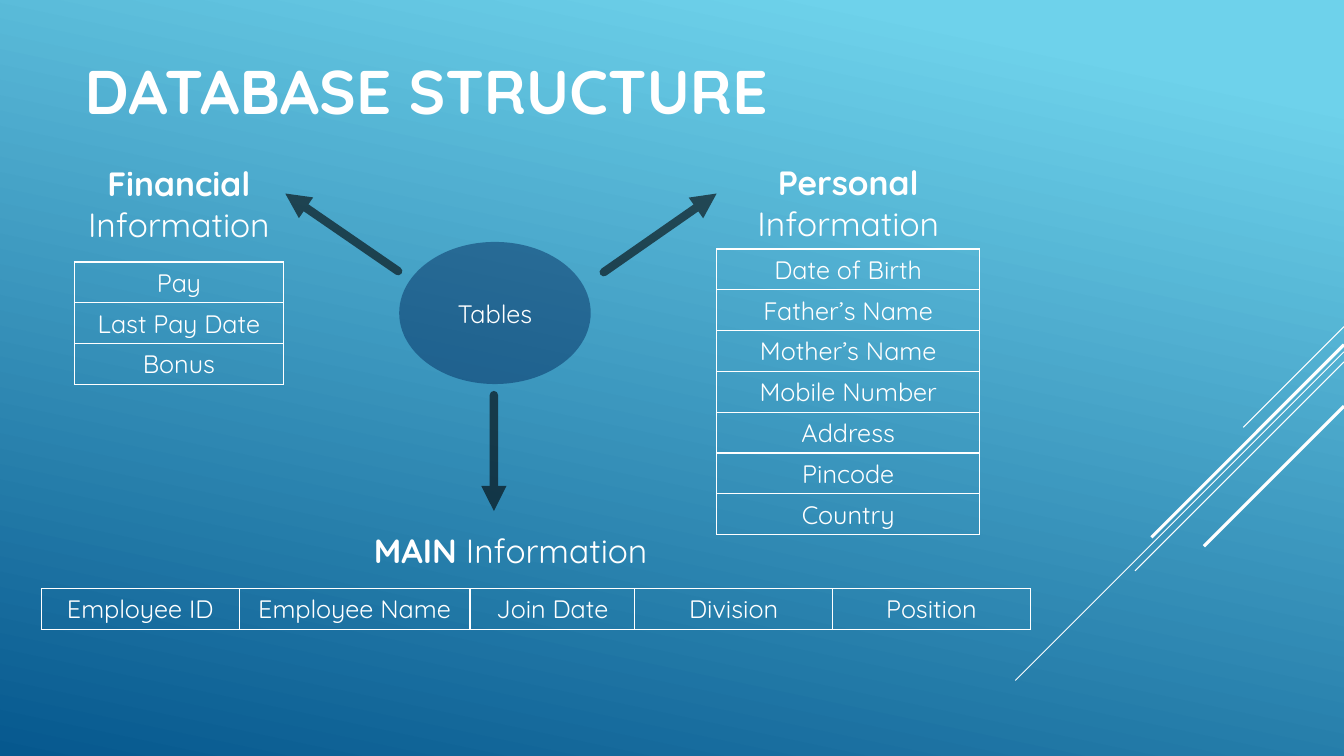
from lxml.etree import SubElement
from pptx import Presentation
from pptx.dml.color import RGBColor
from pptx.enum.shapes import MSO_CONNECTOR as Connector, MSO_SHAPE as Preset
from pptx.enum.text import MSO_ANCHOR as Anchor, PP_ALIGN as Align
from pptx.oxml import parse_xml
from pptx.oxml.ns import nsdecls, qn
from pptx.util import Inches, Pt

COLUMNS, ROWS = 80, 45
FONT, WHITE, BLACK, NAVY = "Quicksand", "FFFFFF", "000000", "052F61"
SKY, OCEAN = "6ED2EB", "06588E"
TABLE_ROW = 2.43

presentation = Presentation()
presentation.slide_width = Inches(13.33)
presentation.slide_height = Inches(7.5)


def color(hex_string):
    """Turn a hex string into a colour."""
    return RGBColor.from_string(hex_string)


def across(columns):
    """Length of a number of grid columns."""
    return round(presentation.slide_width * columns / COLUMNS)


def down(rows):
    """Length of a number of grid rows."""
    return round(presentation.slide_height * rows / ROWS)


def place(box):
    """Turn a grid box into left, top, width and height."""
    left, top, width, height = box
    return across(left), down(top), across(width), down(height)


def set_alpha(element, percent):
    """Make the solid colour inside an element partly transparent."""
    solid = next(element.iter(qn("a:srgbClr")))
    SubElement(solid, qn("a:alpha"), val=str(percent * 1000))


def add_run(paragraph, text, size, bold=False):
    """Add one white run."""
    run = paragraph.add_run()
    run.text = text
    run.font.name, run.font.size, run.font.bold = FONT, Pt(size), bold
    run.font.color.rgb = color(WHITE)


def add_text(slide, box, runs, size, align=Align.LEFT, anchor=Anchor.TOP):
    """Add a wrapped text box from (text, bold) runs."""
    frame = slide.shapes.add_textbox(*place(box)).text_frame
    frame.word_wrap = True
    frame.vertical_anchor = anchor
    paragraph = frame.paragraphs[0]
    paragraph.alignment = align
    for text, bold in runs:
        add_run(paragraph, text, size, bold)


def add_line(slide, start, end, line_color, width):
    """Add a straight line without a shadow between two grid points."""
    connector = slide.shapes.add_connector(
        Connector.STRAIGHT, across(start[0]), down(start[1]), across(end[0]), down(end[1]))
    connector.line.color.rgb = color(line_color)
    connector.line.width = Pt(width)
    SubElement(connector._element.spPr, qn("a:effectLst"))
    return connector


def add_arrow(slide, start, end):
    """Add a thick translucent arrow with a round cap."""
    line = add_line(slide, start, end, BLACK, 6).line._get_or_add_ln()
    line.set("cap", "rnd")
    set_alpha(line, 60)
    SubElement(line, qn("a:tailEnd"), type="triangle")


def style_cell(cell, text):
    """Fill a cell with centred text and give it a white outline."""
    cell.fill.background()
    paragraph = cell.text_frame.paragraphs[0]
    paragraph.alignment = Align.CENTER
    add_run(paragraph, text, 18)
    properties = cell._tc.get_or_add_tcPr()
    for index, side in enumerate("LRTB"):
        properties.insert(index, parse_xml(
            f'<a:ln{side} {nsdecls("a")} w="{Pt(1)}"><a:solidFill>'
            f'<a:srgbClr val="{WHITE}"/></a:solidFill></a:ln{side}>'))


def add_entity(slide, box, name, fields, heading, align=Align.CENTER, shares=(1,)):
    """Add a heading, placed relative to the box, and a table at the box's foot."""
    left, top, width, height = box
    indent, heading_width, heading_height = heading
    add_text(slide, (left + indent, top, heading_width, heading_height),
             [(name, True), (" Information", False)], 24, align)
    table_height = len(fields) * TABLE_ROW
    table_box = (left, top + height - table_height, width, table_height)
    table = slide.shapes.add_table(len(fields), len(shares), *place(table_box)).table
    table.first_row = table.horz_banding = False
    for column, share in zip(table.columns, shares):
        column.width = across(width * share / sum(shares))
    for row, texts in zip(table.rows, fields):
        row.height = down(TABLE_ROW)
        for cell, text in zip(row.cells, texts):
            style_cell(cell, text)


def add_hub(slide, box):
    """Add the central ellipse and the arrows that leave it."""
    left, top, width, height = box
    ellipse = slide.shapes.add_shape(Preset.OVAL, *place(box))
    ellipse.shadow.inherit = False
    ellipse.fill.solid()
    ellipse.fill.fore_color.rgb = color(NAVY)
    set_alpha(ellipse._element.spPr, 50)
    ellipse.line.fill.background()
    ellipse.text_frame.vertical_anchor = Anchor.MIDDLE
    paragraph = ellipse.text_frame.paragraphs[0]
    paragraph.alignment = Align.CENTER
    add_run(paragraph, "Tables", 18)
    middle, right, bottom = left + width / 2 - 0.06, left + width, top + height
    add_arrow(slide, (middle, bottom + 0.66), (middle, bottom + 7.56))
    add_arrow(slide, (right + 0.78, top + 1.8), (right + 7.5, top - 2.88))
    add_arrow(slide, (left - 0.06, top + 1.74), (left - 6.78, top - 2.88))


def add_background(slide):
    """Add the gradient and the diagonal strokes at the right edge."""
    fill = slide.background.fill
    fill.gradient()
    fill.gradient_angle = 258
    for stop, position, stop_color in zip(fill.gradient_stops, (0.1, 1), (SKY, OCEAN)):
        stop.position = position
        stop.color.rgb = color(stop_color)
    strokes = [(19.44, 6, 0.75), (20.94, 19.56, 0.75), (21.54, 12.44, 0.75),
               (20.52, 11.46, 2.25), (24.18, 8.34, 2.25)]
    for top, reach, width in strokes:
        add_line(slide, (COLUMNS, top), (COLUMNS - reach, top + reach), WHITE, width)


def build_structure_slide():
    """Build the database structure slide."""
    slide = presentation.slides.add_slide(presentation.slide_layouts[6])
    add_background(slide)
    add_text(slide, (4.44, 2.34, 56, 6), [("DATABASE STRUCTURE", True)], 44,
             anchor=Anchor.MIDDLE)
    add_hub(slide, (23.76, 14.4, 11.4, 8.46))
    add_entity(slide, (2.46, 31.26, 58.88, 6.21), "MAIN",
               [("Employee ID", "Employee Name", "Join Date", "Division", "Position")],
               (19.2, 18.36, 3), Align.LEFT, (6, 7, 5, 6, 6))
    personal = ("Date of Birth", "Father’s Name", "Mother’s Name", "Mobile Number",
                "Address", "Pincode", "Country")
    add_entity(slide, (42.66, 9.36, 15.66, 22.47), "Personal",
               [(field,) for field in personal], (0, 15.66, 5.46))
    financial = ("Pay", "Last Pay Date", "Bonus")
    add_entity(slide, (4.44, 9.42, 12.42, 13.47), "Financial",
               [(field,) for field in financial], (0, 12.42, 5.46))


build_structure_slide()
presentation.save("out.pptx")
